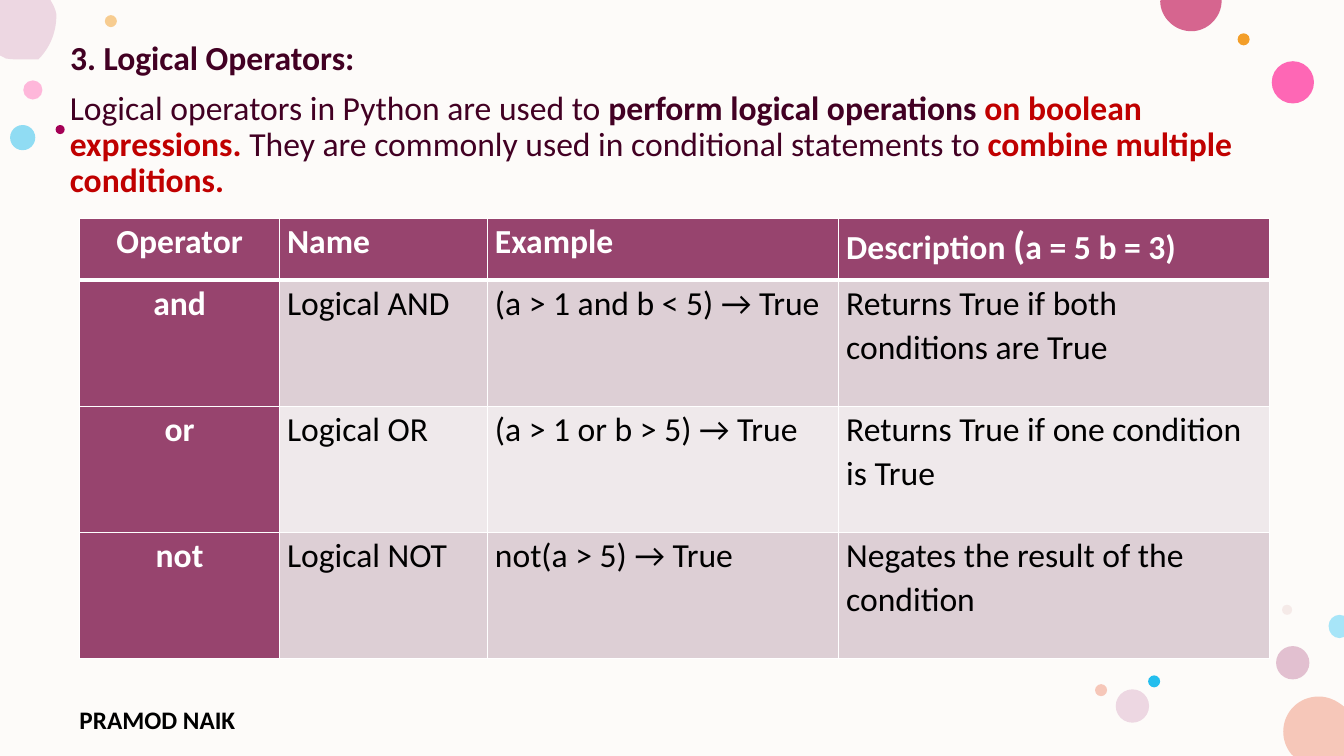
import pptx
import pptx.dml.color
import pptx.enum.shapes
import pptx.enum.text
import pptx.oxml.ns
import pptx.util
from lxml import etree

Pt = pptx.util.Pt
qn = pptx.oxml.ns.qn
WIDTH, HEIGHT = 960, 540
FONT = "Calibri"
COLORS = {
    "paper": "FDFBF9", "white": "FFFFFF", "black": "000000",
    "plum": "420023", "red": "C00000", "header": "97446E",
    "band_dark": "DDCFD5", "band_light": "EFE9EB",
    "candy": "FF75BD", "orange": "F39E29", "mauve": "C987A8",
    "sky": "24BEEE", "magenta": "FF2F9C", "blush": "E3BEBE",
    "lilac": "EDD7E2", "peach": "F6C7B9", "rose": "D6658F",
    "berry": "A40056", "ice": "A7E5F8",
}
DOTS = [
    (16.6, 57.4, 13.7, "candy", 50), (74.9, 10.8, 8.6, "orange", 50),
    (911.5, 461.5, 23.8, "mauve", 50), (7.2, 89.3, 18, "sky", 50),
    (908.4, 43.7, 30.2, "magenta", 72), (884, 23.8, 8.6, "orange", 100),
    (915.8, 432, 7.2, "blush", 28), (820.1, 482.4, 8.6, "sky", 100),
    (797, 492.4, 23.8, "lilac", 100), (782.2, 488.7, 8.6, "peach", 100),
    (39.7, 89.3, 6.5, "berry", 100),
]
EDGE_CIRCLES = [
    ("peach", "CLLLLCC", [
        (941.8, 497.5), (949, 497.5), (954.7, 500.4), (960, 504.7), (960, 505.4),
        (960, 540), (923.8, 540), (922.3, 538.6), (918.7, 534.2), (916.6, 528.5),
        (916.6, 522.7), (916.6, 508.3), (928.1, 497.5), (941.8, 497.5)]),
    ("lilac", "LCCCL", [
        (0, 0), (36, 0), (38.2, 3.6), (39.6, 6.5), (40.3, 10.1), (40.3, 14.4),
        (40.3, 29.5), (27.4, 42.5), (12.2, 42.5), (7.9, 42.5), (4.3, 41.8),
        (1.4, 40.3), (0, 39.6)]),
    ("rose", "LLCC", [
        (829.4, 0), (872.6, 0), (872.6, 0.7), (872.6, 12.2), (862.6, 22.3),
        (851, 22.3), (838.8, 22.3), (828.7, 12.2), (828.7, 0.7)]),
    ("ice", "LLLCC", [
        (956.9, 439.2), (960, 439.9), (960, 455), (956.9, 455.8), (952.6, 455.8),
        (949, 452.2), (949, 447.1), (949, 442.8), (952.6, 439.2), (956.9, 439.2)]),
]
INTRODUCTION = [
    ("Logical operators in Python are used to ", "plum", False),
    ("perform logical operations ", "plum", True),
    ("on boolean expressions. ", "red", True),
    ("They are commonly used in conditional statements to ", "plum", False),
    ("combine multiple conditions.", "red", True),
]
COLUMN_WIDTHS = [142.8, 148.5, 250.9, 307.9]
ROW_HEIGHTS = [44, 90.2, 90.2, 90.2]
ROWS = [
    ["Operator", "Name", "Example", "Description "],
    ["and", "Logical AND", "(a > 1 and b < 5) → True",
     "Returns True if both conditions are True"],
    ["or", "Logical OR", "(a > 1 or b > 5) → True",
     "Returns True if one condition is True"],
    ["not", "Logical NOT", "not(a > 5) → True",
     "Negates the result of the condition"],
]


def rgb(name):
    """Return the named colour."""
    return pptx.dml.color.RGBColor.from_string(COLORS[name])


def add_run(paragraph, text, color, bold, size=24):
    """Append one formatted run."""
    run = paragraph.add_run()
    run.text = text
    run.font.name = FONT
    run.font.size = Pt(size)
    run.font.bold = bold
    run.font.color.rgb = rgb(color)


def paint(shape, color, opacity=100):
    """Give a shape a plain fill without outline or shadow."""
    shape.shadow.inherit = False
    shape.line.fill.background()
    shape.fill.solid()
    shape.fill.fore_color.rgb = rgb(color)
    if opacity < 100:
        element = shape._element.spPr.find(".//" + qn("a:srgbClr"))
        etree.SubElement(element, qn("a:alpha"), val=str(opacity * 1000))


def add_curved_shape(slide, left, top, kinds, points):
    """Build an outline of straight (L) and Bezier (C) segments."""
    corners = [(Pt(left + x), Pt(top + y)) for x, y in points]
    builder = slide.shapes.build_freeform(*corners[0])
    builder.add_line_segments(corners[1:], close=True)
    shape = builder.convert_to_shape()
    segments = iter(list(shape._element.iter(qn("a:lnTo"))))
    for kind in kinds:
        segment = next(segments)
        if kind == "C":
            curve = etree.Element(qn("a:cubicBezTo"))
            segment.addprevious(curve)
            for part in (segment, next(segments), next(segments)):
                curve.append(part[0])
                part.getparent().remove(part)
    return shape


def add_decoration(slide, left, top, width, height):
    """Lay the paper, the dots and the circles cut by the edges."""
    shapes = pptx.enum.shapes.MSO_SHAPE
    paper = slide.shapes.add_shape(
        shapes.RECTANGLE, Pt(left), Pt(top), Pt(width), Pt(height))
    paint(paper, "paper")
    for x, y, size, color, opacity in DOTS:
        dot = slide.shapes.add_shape(
            shapes.OVAL, Pt(left + x), Pt(top + y), Pt(size), Pt(size))
        paint(dot, color, opacity)
    for color, kinds, points in EDGE_CIRCLES:
        paint(add_curved_shape(slide, left, top, kinds, points), color)


def add_text(slide, left, top, width, height):
    """Add a wrapping text box and return its first paragraph."""
    box = slide.shapes.add_textbox(Pt(left), Pt(top), Pt(width), Pt(height))
    box.text_frame.word_wrap = True
    return box.text_frame.paragraphs[0]


def add_heading(slide, left, top, width):
    """Place the title and the introduction below it."""
    title = slide.shapes.title
    title.left, title.top, title.width, title.height = map(Pt, (left, top, width, 33))
    frame = title.text_frame
    frame.word_wrap = True
    frame.auto_size = pptx.enum.text.MSO_AUTO_SIZE.NONE
    frame.vertical_anchor = pptx.enum.text.MSO_ANCHOR.TOP
    heading = frame.paragraphs[0]
    heading.alignment = pptx.enum.text.PP_ALIGN.LEFT
    heading.line_spacing = 0.9
    add_run(heading, "3. Logical Operators:", "plum", True)
    paragraph = add_text(slide, left, top + 35.8, width, 88)
    paragraph.line_spacing = 0.9
    for text, color, bold in INTRODUCTION:
        add_run(paragraph, text, color, bold)


def set_borders(cell, top, bottom):
    """Draw white cell borders, with the given top and bottom widths."""
    properties = cell._tc.get_or_add_tcPr()
    sides = (("L", 1), ("R", 1), ("T", top), ("B", bottom))
    for index, (side, width) in enumerate(sides):
        line = etree.Element(qn("a:ln" + side), w=str(Pt(width)))
        fill = etree.SubElement(line, qn("a:solidFill"))
        etree.SubElement(fill, qn("a:srgbClr"), val=COLORS["white"])
        properties.insert(index, line)


def add_operator_table(slide, left, top):
    """Place the table of logical operators."""
    table = slide.shapes.add_table(
        len(ROWS), len(COLUMN_WIDTHS), Pt(left), Pt(top),
        Pt(sum(COLUMN_WIDTHS)), Pt(sum(ROW_HEIGHTS))).table
    for column, width in zip(table.columns, COLUMN_WIDTHS):
        column.width = Pt(width)
    for row, height in zip(table.rows, ROW_HEIGHTS):
        row.height = Pt(height)
    for row_index, texts in enumerate(ROWS):
        band = "band_dark" if row_index % 2 else "band_light"
        for column_index, text in enumerate(texts):
            cell = table.cell(row_index, column_index)
            strong = row_index == 0 or column_index == 0
            cell.margin_left = cell.margin_right = Pt(5.4)
            cell.margin_top = cell.margin_bottom = Pt(0)
            cell.fill.solid()
            cell.fill.fore_color.rgb = rgb("header" if strong else band)
            set_borders(cell, 3 if row_index == 1 else 1, 3 if row_index == 0 else 1)
            paragraph = cell.text_frame.paragraphs[0]
            paragraph.line_spacing = 1.08
            paragraph.space_after = Pt(8)
            if column_index == 0:
                paragraph.alignment = pptx.enum.text.PP_ALIGN.CENTER
            add_run(paragraph, text, "white" if strong else "black", strong)
    description = table.cell(0, len(COLUMN_WIDTHS) - 1).text_frame.paragraphs[0]
    add_run(description, "(", "white", True, 28)
    add_run(description, "a = 5 b = 3)", "white", True)


def build_slide(presentation):
    """Build the logical operators slide."""
    slide = presentation.slides.add_slide(presentation.slide_layouts[5])
    add_decoration(slide, 0, 0, WIDTH, HEIGHT)
    add_run(add_text(slide, 49.7, 499.7, 176.4, 23), "PRAMOD NAIK", "black", True, 18)
    add_heading(slide, 42.8, 25.9, 850.3)
    title = slide.shapes.title._element
    title.getparent().append(title)
    add_operator_table(slide, 56.9, 155.9)


def main():
    """Create and save the presentation."""
    presentation = pptx.Presentation()
    presentation.slide_width = Pt(WIDTH)
    presentation.slide_height = Pt(HEIGHT)
    build_slide(presentation)
    presentation.save("out.pptx")


if __name__ == "__main__":
    main()
